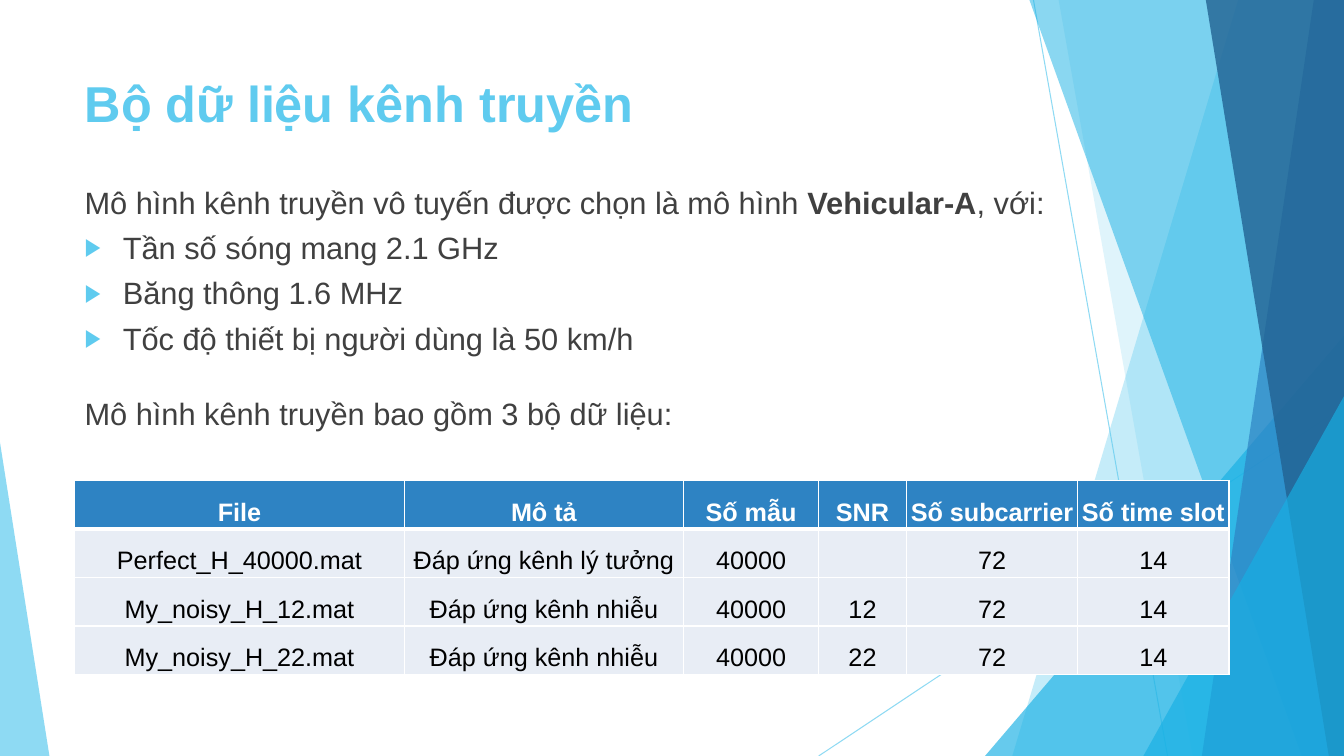
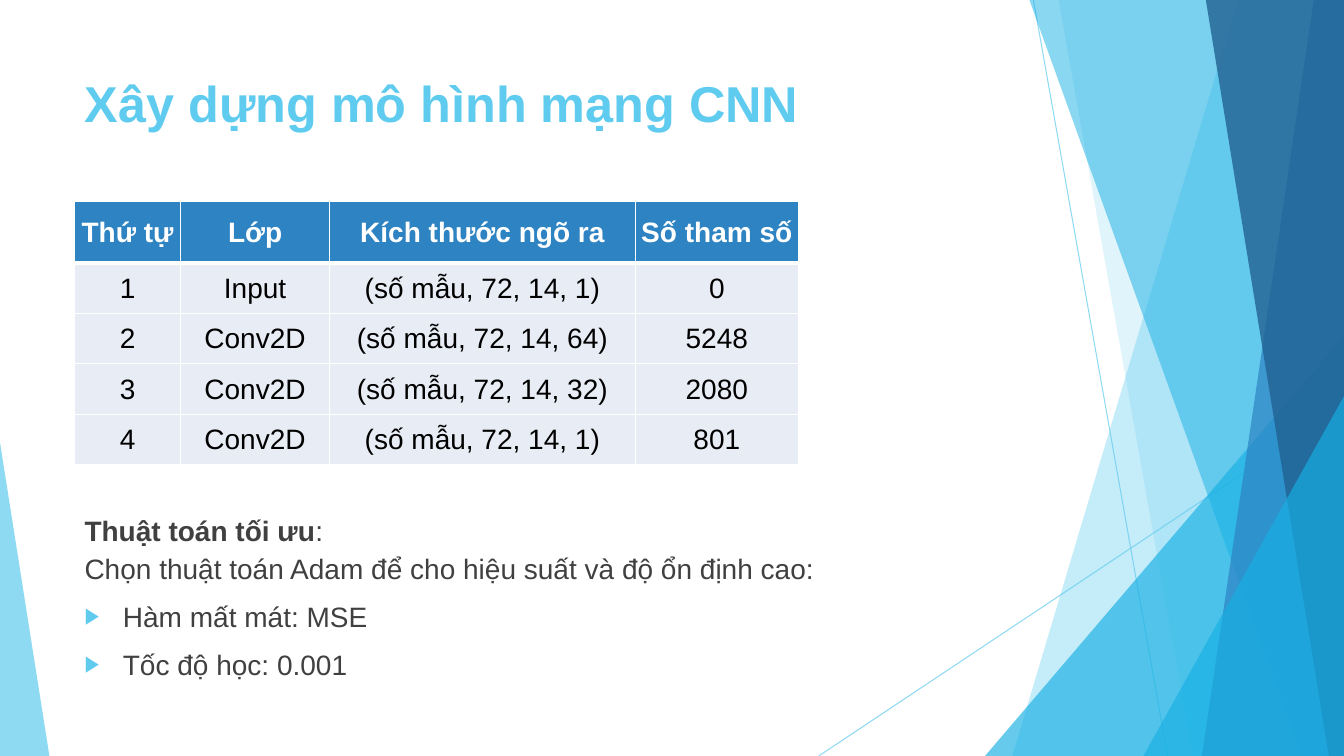
from dataclasses import dataclass

from lxml import etree
from pptx import Presentation
from pptx.dml.color import RGBColor
from pptx.enum.shapes import MSO_CONNECTOR, MSO_SHAPE
from pptx.enum.text import MSO_ANCHOR, MSO_AUTO_SIZE, PP_ALIGN
from pptx.oxml.ns import qn
from pptx.util import Inches, Pt

STRAIGHT = MSO_CONNECTOR.STRAIGHT
TRIANGLE = MSO_SHAPE.ISOSCELES_TRIANGLE
TOP, MIDDLE = MSO_ANCHOR.TOP, MSO_ANCHOR.MIDDLE
LEFT, CENTER = PP_ALIGN.LEFT, PP_ALIGN.CENTER
NO_AUTOFIT = MSO_AUTO_SIZE.NONE


@dataclass(frozen=True)
class Theme:
    font: str = "Arial"
    sky: str = "5FCBEF"
    cyan: str = "17B0E4"
    blue: str = "2E83C3"
    navy: str = "226292"
    text: str = "404040"
    black: str = "000000"
    white: str = "FFFFFF"
    row: str = "E8EDF5"
    title_size: int = 36
    body_size: int = 22
    small_size: int = 20
    table_size: int = 18


THEME = Theme()
WIDTH, HEIGHT = 13.33, 7.5
MARGIN = 0.74


def add_text(page, place, size, paragraphs):
    """Each paragraph is (pieces, bulleted, space before, line spacing); a piece is (text, bold)."""
    box = page.shapes.add_textbox(*map(Inches, place))
    frame = box.text_frame
    frame.word_wrap = True
    for number, (pieces, bulleted, before, spacing) in enumerate(paragraphs):
        para = frame.add_paragraph() if number else frame.paragraphs[0]
        para.space_before = Pt(before)
        para.line_spacing = spacing
        if bulleted:
            props = para._p.get_or_add_pPr()
            props.set("marL", str(Inches(0.38)))
            props.set("indent", str(-Inches(0.38)))
            color = etree.SubElement(props, qn("a:buClr"))
            etree.SubElement(color, qn("a:srgbClr"), val=THEME.sky)
            etree.SubElement(props, qn("a:buSzPct"), val="80000")
            etree.SubElement(props, qn("a:buFont"), typeface=THEME.font)
            etree.SubElement(props, qn("a:buChar"), char="▶")
        para.font.name = THEME.font
        para.font.size = Pt(size)
        para.font.color.rgb = RGBColor.from_string(THEME.text)
        for text, bold in pieces:
            if text == "\n":
                para.add_line_break()
                continue
            span = para.add_run()
            span.text = text
            if bold:
                span.font.bold = True


def add_grid(page, top, columns, heights, rows, size, spacing=None, after=0):
    """Draw a table with a blue heading row and white rules."""
    frame = page.shapes.add_table(len(rows), len(columns), Inches(MARGIN), Inches(top),
                                  Inches(sum(columns)), Inches(sum(heights)))
    table = frame.table
    table.horz_banding = False
    for column, width in zip(table.columns, columns):
        column.width = Inches(width)
    for r, (row, height) in enumerate(zip(rows, heights)):
        table.rows[r].height = Inches(height)
        rules = {"L": 1, "R": 1, "T": 3 if r == 1 else 1, "B": 3 if r == 0 else 1}
        for c, text in enumerate(row):
            cell = table.cell(r, c)
            cell.vertical_anchor = MIDDLE
            cell.margin_left = cell.margin_right = cell.margin_top = Inches(0.01)
            cell.margin_bottom = 0
            props = cell._tc.get_or_add_tcPr()
            for side, weight in rules.items():
                line = etree.SubElement(props, qn(f"a:ln{side}"), w=str(Pt(weight)))
                fill = etree.SubElement(line, qn("a:solidFill"))
                etree.SubElement(fill, qn("a:srgbClr"), val=THEME.white)
            cell.fill.solid()
            cell.fill.fore_color.rgb = RGBColor.from_string(THEME.row if r else THEME.blue)
            para = cell.text_frame.paragraphs[0]
            para.text = text
            para.alignment = CENTER
            para.line_spacing = spacing
            para.space_after = Pt(after)
            para.font.name = THEME.font
            para.font.size = Pt(size)
            para.font.bold = r == 0
            para.font.color.rgb = RGBColor.from_string(THEME.black if r else THEME.white)


deck = Presentation()
deck.slide_width, deck.slide_height = Inches(WIDTH), Inches(HEIGHT)
layout = deck.slide_layouts[5]
for holder in list(layout.placeholders)[1:]:
    holder.element.getparent().remove(holder.element)

# Pages and their titles
pages = []
for heading in ("Bộ dữ liệu kênh truyền", "Xây dựng mô hình mạng CNN"):
    page = deck.slides.add_slide(layout)
    title = page.shapes.title
    title.left, title.top, title.width, title.height = map(Inches, (MARGIN, 0.67, 9.4, 1.44))
    title.text_frame.text = heading
    title.text_frame.vertical_anchor = TOP
    title.text_frame.auto_size = NO_AUTOFIT
    para = title.text_frame.paragraphs[0]
    para.alignment = LEFT
    para.font.name = THEME.font
    para.font.size = Pt(THEME.title_size)
    para.font.bold = True
    para.font.color.rgb = RGBColor.from_string(THEME.sky)
    pages.append(page)
data_page, model_page = pages

# Shared backdrop: thin lines, then translucent facets
backdrop = []
for ends in ((10.25, 0, 11.58, HEIGHT), (WIDTH, 4.03, 8.12, HEIGHT)):
    line = data_page.shapes.add_connector(STRAIGHT, *map(Inches, ends))
    line.line.width = Pt(0.75)
    line.line.color.rgb = RGBColor.from_string(THEME.sky)
    etree.SubElement(line.element.spPr, qn("a:effectLst"))
    backdrop.append((line, 70))

# A band is (top x, bottom x); a triangle is (left, top, width, tip position)
facets = (
    ((12.28, 10.04), THEME.sky, 36),
    ((10.5, 11.83), THEME.sky, 20),
    ((9.77, 3.33, 3.56, 1), THEME.cyan, 66),
    ((10.21, 12.91), THEME.cyan, 50),
    ((13.03, 11.92), THEME.blue, 70),
    ((11.96, 13.18), THEME.navy, 80),
    ((11.34, 3.93, 1.99, 1), THEME.cyan, 66),
    ((0, 4.39, 0.49, 0), THEME.sky, 70),
)
for outline, color, opacity in facets:
    if len(outline) == 2:
        top_x, bottom_x = outline
        corners = ((WIDTH, 0), (WIDTH, HEIGHT), (bottom_x, HEIGHT))
        builder = data_page.shapes.build_freeform(Inches(top_x), 0)
        builder.add_line_segments([(Inches(x), Inches(y)) for x, y in corners], close=True)
        facet = builder.convert_to_shape()
    else:
        left, top, width, tip = outline
        facet = data_page.shapes.add_shape(
            TRIANGLE, *map(Inches, (left, top, width, HEIGHT - top)))
        facet.adjustments[0] = tip
    facet.shadow.inherit = False
    facet.line.fill.background()
    facet.fill.solid()
    facet.fill.fore_color.rgb = RGBColor.from_string(color)
    backdrop.append((facet, opacity))

# Set the transparency and hand the backdrop to the layout
for shape, opacity in backdrop:
    for color in shape.element.spPr.iter(qn("a:srgbClr")):
        etree.SubElement(color, qn("a:alpha"), val=str(opacity * 1000))
    layout.shapes.element.append(shape.element)

# Channel data
add_text(data_page, (MARGIN, 1.77, 10.11, 2.8), THEME.body_size, [
    ([("Mô hình kênh truyền vô tuyến được chọn là mô hình ", False),
      ("Vehicular-A", True), (", với:", False)], False, 6, None),
    ([("Tần số sóng mang 2.1 GHz", False)], True, 6, None),
    ([("Băng thông 1.6 MHz", False)], True, 6, None),
    ([("Tốc độ thiết bị người dùng là 50 km/h", False)], True, 6, None),
    ([("Mô hình kênh truyền bao gồm 3 bộ dữ liệu:", False)], False, 27.5, None),
])
add_grid(data_page, 4.77, (3.27, 2.77, 1.34, 0.87, 1.7, 1.5), [0.48] * 4, [
    ("File", "Mô tả", "Số mẫu", "SNR", "Số subcarrier", "Số time slot"),
    ("Perfect_H_40000.mat", "Đáp ứng kênh lý tưởng", "40000", "", "72", "14"),
    ("My_noisy_H_12.mat", "Đáp ứng kênh nhiễu", "40000", "12", "72", "14"),
    ("My_noisy_H_22.mat", "Đáp ứng kênh nhiễu", "40000", "22", "72", "14"),
], THEME.table_size, spacing=1.5, after=6)

# Network model
add_grid(model_page, 2, (1.05, 1.48, 3.03, 1.62), [0.61] + [0.5] * 4, [
    ("Thứ tự", "Lớp", "Kích thước ngõ ra", "Số tham số"),
    ("1", "Input", "(số mẫu, 72, 14, 1)", "0"),
    ("2", "Conv2D", "(số mẫu, 72, 14, 64)", "5248"),
    ("3", "Conv2D", "(số mẫu, 72, 14, 32)", "2080"),
    ("4", "Conv2D", "(số mẫu, 72, 14, 1)", "801"),
], THEME.small_size)
add_text(model_page, (MARGIN, 5, 9.4, 1.84), THEME.small_size, [
    ([("Thuật toán tối ưu", True), (": ", False), ("\n", False),
      ("Chọn thuật toán Adam để cho hiệu suất và độ ổn định cao:", False)], False, 6, 1.14),
    ([("Hàm mất mát: MSE", False)], True, 10, None),
    ([("Tốc độ học: 0.001", False)], True, 10, None),
])

deck.save("out.pptx")
